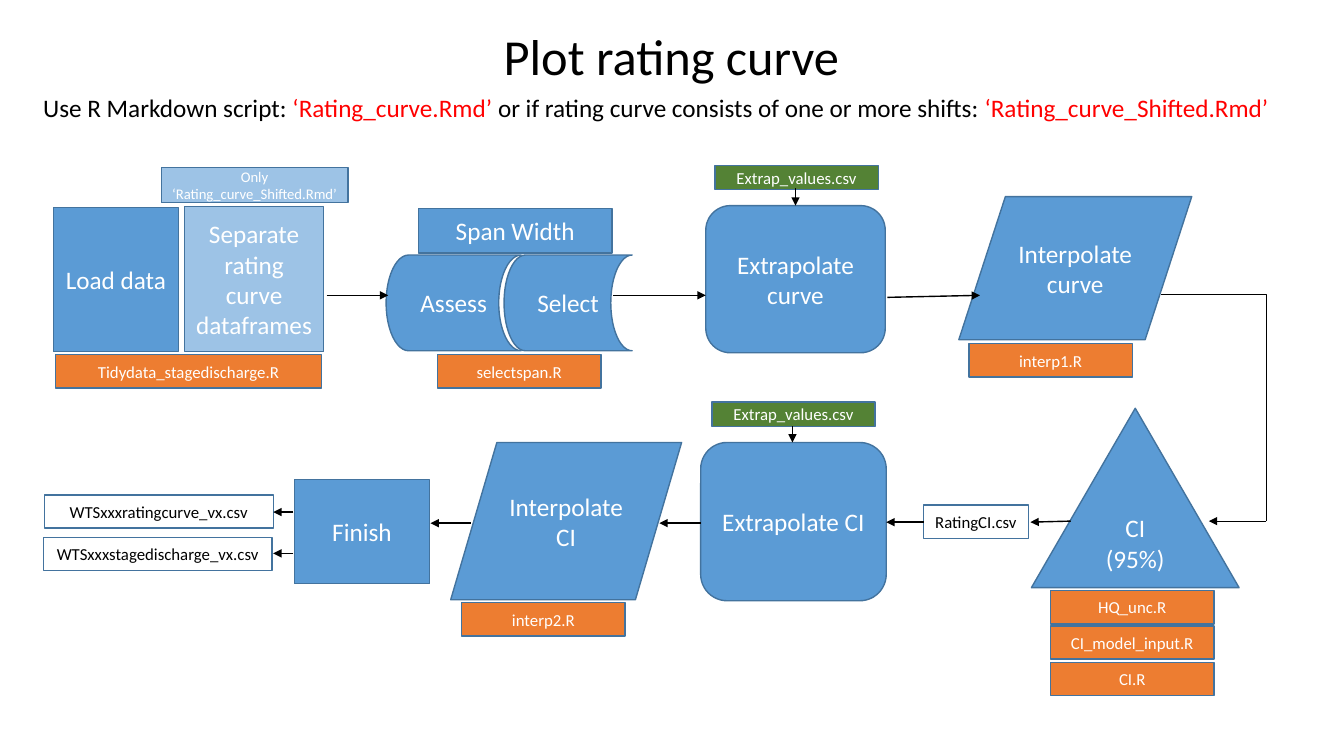
from lxml.etree import SubElement
from pptx import Presentation
from pptx.dml.color import RGBColor
from pptx.enum.shapes import MSO_CONNECTOR as LINK, MSO_SHAPE as SHAPE
from pptx.enum.text import MSO_ANCHOR as ANCHOR, PP_ALIGN as ALIGN
from pptx.oxml.ns import qn
from pptx.util import Pt

PX = 9144  # 100 px to the inch
BLUE, PALE, ORANGE, GREEN = "5B9BD5", "9DC3E6", "ED7D31", "548235"
WHITE, BLACK, RED, EDGE = "FFFFFF", "000000", "FF0000", "43739E"
SCRIPT_W, SCRIPT_H, INPUT_H = 162, 33, 24

STEPS = [
    ("Span Width", SHAPE.FLOWCHART_PROCESS, (415, 207, 192, 44), BLUE),
    ("Extrapolate curve", SHAPE.FLOWCHART_ALTERNATE_PROCESS, (700, 204, 178, 146), BLUE),
    ("Interpolate curve", SHAPE.FLOWCHART_DATA, (951, 195, 231, 142), BLUE),
    ("Load data", SHAPE.FLOWCHART_PROCESS, (53, 206, 124, 143), BLUE),
    ("Separate rating curve dataframes", SHAPE.FLOWCHART_PROCESS, (183, 205, 138, 144), PALE),
    ("Assess", SHAPE.FLOWCHART_STORED_DATA, (383, 253, 134, 95), BLUE),
    ("Select", SHAPE.FLOWCHART_STORED_DATA, (500, 253, 127, 95), BLUE),
    ("CI (95%)", SHAPE.FLOWCHART_EXTRACT, (1023, 405, 206, 178), BLUE),
    ("Extrapolate CI", SHAPE.FLOWCHART_ALTERNATE_PROCESS, (695, 439, 184, 157), BLUE),
    ("Interpolate CI", SHAPE.FLOWCHART_DATA, (447, 439, 229, 156), BLUE),
    ("Finish", SHAPE.FLOWCHART_PROCESS, (292, 476, 134, 103), BLUE),
]
# text, left, top, width
SCRIPTS = [
    ("Tidydata_stagedischarge.R", 55, 352, 264),
    ("selectspan.R", 434, 352, SCRIPT_W),
    ("interp1.R", 961, 341, SCRIPT_W),
    ("interp2.R", 458, 598, SCRIPT_W),
    ("HQ_unc.R", 1042, 586, SCRIPT_W),
    ("CI_model_input.R", 1042, 621, SCRIPT_W),
    ("CI.R", 1042, 657, SCRIPT_W),
]
OUTPUTS = [
    ("RatingCI.csv", 916, 501, 104),
    ("WTSxxxratingcurve_vx.csv", 44, 491, 227),
    ("WTSxxxstagedischarge_vx.csv", 43, 533, 227),
]
INPUTS = [(709, 164), (706, 399)]
ARROWS = [
    (789, 187, 789, 204), (786, 423, 786, 439),
    (324, 293, 385, 293), (608, 293, 700, 293), (880, 295, 972, 293),
    (1062, 517, 1022, 518), (916, 518, 879, 518), (695, 519, 654, 519),
    (467, 519, 427, 519), (291, 508, 271, 508), (291, 549, 271, 549),
]


def rgb(color):
    return RGBColor.from_string(color)


def emu(box):
    return [v * PX for v in box]


def write(tf, lines, size, align):
    """Fill a text frame; each line is a list of (text, colour) runs."""
    tf.word_wrap = True
    for i, runs in enumerate(lines):
        p = tf.add_paragraph() if i else tf.paragraphs[0]
        p.alignment = align
        for text, color in runs:
            r = p.add_run()
            r.text = text
            for name, value in {"name": "Calibri", "size": Pt(size)}.items():
                setattr(r.font, name, value)
            r.font.color.rgb = rgb(color)


def add_text(s, box, runs, size, align):
    write(s.shapes.add_textbox(*emu(box)).text_frame, [runs], size, align)


def add_box(s, kind, box, fill, lines, size, color=WHITE):
    sp = s.shapes.add_shape(kind, *emu(box))
    sp.shadow.inherit = False
    sp.fill.solid()
    sp.fill.fore_color.rgb = rgb(fill)
    sp.line.color.rgb = rgb(EDGE)
    sp.line.width = Pt(1)
    sp.text_frame.vertical_anchor = ANCHOR.MIDDLE
    write(sp.text_frame, [[(line, color)] for line in lines], size, ALIGN.CENTER)


def add_label(s, text, left, top, width, height, fill, color=WHITE):
    add_box(s, SHAPE.FLOWCHART_PROCESS, (left, top, width, height), fill, [text], 12, color)


def add_link(s, ends, width=1, kind=LINK.STRAIGHT, arrow=True):
    cxn = s.shapes.add_connector(kind, *emu(ends))
    cxn.line.color.rgb = rgb(BLACK)
    cxn.line.width = Pt(width)
    if arrow:
        SubElement(cxn.line._get_or_add_ln(), qn("a:tailEnd"), type="triangle")
    sp_pr = cxn._element.spPr
    SubElement(sp_pr, qn("a:effectLst"))
    if kind == LINK.ELBOW:  # turn at the far end
        guides = sp_pr.find(qn("a:prstGeom")).get_or_add_avLst()
        SubElement(guides, qn("a:gd"), name="adj1", fmla="val 100000")


def main():
    prs = Presentation()
    prs.slide_width, prs.slide_height = emu((1333, 750))
    s = prs.slides.add_slide(prs.slide_layouts[6])

    add_text(s, (33, 87, 1266, 40), [
        ("Use R Markdown script: ", BLACK),
        ("‘Rating_curve.Rmd’ ", RED),
        ("or if rating curve consists of one or more shifts: ", BLACK),
        ("‘Rating_curve_Shifted.Rmd’", RED),
    ], 18, ALIGN.LEFT)
    add_text(s, (140, 20, 1052, 71), [("Plot rating curve", BLACK)], 36, ALIGN.CENTER)

    for text, kind, box, fill in STEPS:
        add_box(s, kind, box, fill, [text], 18)
    for script in SCRIPTS:
        add_label(s, *script, SCRIPT_H, ORANGE)
    for output in OUTPUTS:
        add_label(s, *output, SCRIPT_H, WHITE, BLACK)
    for left, top in INPUTS:
        add_label(s, "Extrap_values.csv", left, top, SCRIPT_W, INPUT_H, GREEN)
    add_box(s, SHAPE.FLOWCHART_PROCESS, (160, 166, 185, 35), PALE,
            ["Only", "‘Rating_curve_Shifted.Rmd’"], 10.5)

    for ends in ARROWS:
        add_link(s, ends)
    add_link(s, (1152, 292, 1256, 517), 0.75, LINK.ELBOW, arrow=False)
    add_link(s, (1256, 517, 1199, 517), 0.75)

    prs.save("out.pptx")


if __name__ == "__main__":
    main()
